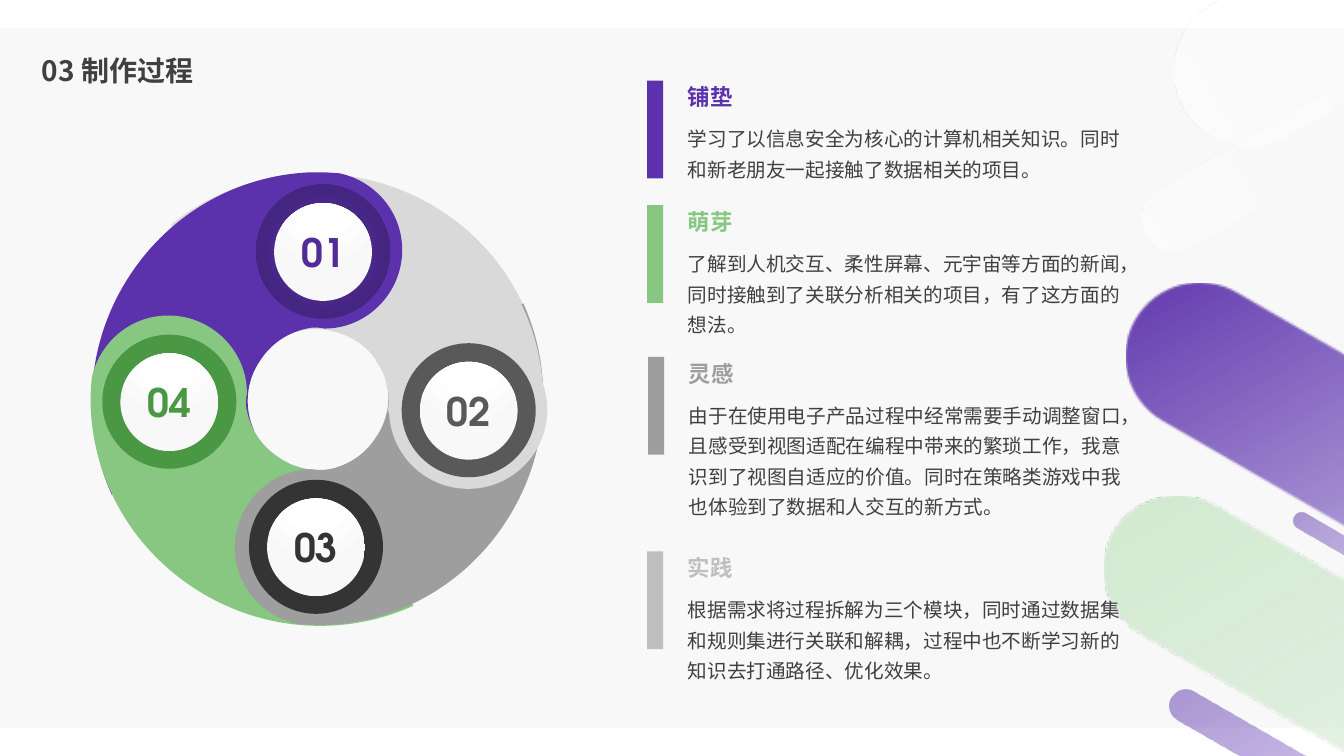
from dataclasses import dataclass

from lxml import etree
from pptx import Presentation
from pptx.dml.color import RGBColor
from pptx.enum.shapes import MSO_SHAPE
from pptx.enum.text import MSO_ANCHOR, PP_ALIGN
from pptx.oxml.ns import qn
from pptx.util import Inches, Pt

RECT, OVAL, ARC = MSO_SHAPE.RECTANGLE, MSO_SHAPE.OVAL, MSO_SHAPE.BLOCK_ARC
LEFT, CENTER = PP_ALIGN.LEFT, PP_ALIGN.CENTER
TOP, MIDDLE = MSO_ANCHOR.TOP, MSO_ANCHOR.MIDDLE

CELL = Inches(0.1)
COLS, ROWS = 133.33, 75
CJK, GEOMETRIC = "Noto Sans CJK SC", "TeX Gyre Adventor"
INK, PANEL, LIGHT = "404040", "F8F8F8", "D9D9D9"
PURPLE, GREEN, GREY = "5B32AB", "87C782", "9E9E9E"
RING, DISC, HALO = 13.3, 9.7, 15.7
ROUNDNESS = 0.55

Box = tuple[float, float, float, float]
Point = tuple[float, float]
Outline = list[list[Point]]


@dataclass
class Gradient:
    stops: list[tuple[int, str, int]]
    angle: int = 0
    focus: tuple[int, int, int, int] | None = None


@dataclass
class Pill:
    box: Box
    rotation: int
    fill: Gradient


@dataclass
class Petal:
    box: Box
    rotation: int
    color: str


@dataclass
class Badge:
    number: str
    col: float
    row: float
    ring: str | Gradient
    color: str


@dataclass
class Step:
    heading: str
    body: str
    col: float
    row: float
    lines: int
    color: str


HAZE = Gradient([(0, "FFFFFF", 50), (21, "FFFFFF", 29), (85, "FFFFFF", 0), (100, "FFFFFF", 0)])
FADE = [(85, "FFFFFF", 50), (100, "FFFFFF", 50)]
VIOLET = Gradient([(0, PURPLE, 100), (23, "5F34B2", 40)] + FADE, 210)
LILAC = Gradient([(0, PURPLE, 50), (23, "5F34B2", 40)] + FADE, 210)
MINT = Gradient([(0, "D0E9CE", 100), (22, "D0E9CE", 50)] + FADE, 210)
PEARL = Gradient([(0, "FFFFFF", 100), (35, "FFFFFF", 100), (100, PANEL, 100)], focus=(50, -80, 50, 180))
PLUM = Gradient([(0, "512C98", 100), (23, "512C98", 100), (69, "442580", 100), (97, "402378", 100)],
                focus=(50, 50, 50, 50))

PILLS = [
    Pill((99, 75.8, 205.5, 14.7), 210, VIOLET),
    Pill((109.6, -26.5, 118.7, 15.1), 330, HAZE),
    Pill((110.2, 6.8, 52.7, 6.7), 330, HAZE),
    Pill((96.8, 97, 205.5, 14.7), 210, MINT),
    Pill((126.8, 56.5, 24.4, 1.7), 210, LILAC),
    Pill((113.1, 79.3, 46.9, 3.3), 210, LILAC),
]
PETALS = [
    Petal((20.5, 15.1, 30.8, 32), 75, LIGHT),
    Petal((9.1, 17.1, 30.8, 32), 0, PURPLE),
    Petal((9.6, 30.7, 30.8, 32), 270, GREEN),
    Petal((23.3, 30.1, 30.6, 31.9), 180, GREY),
]
BADGES = [
    Badge("01", 25.4, 18.3, PLUM, "512C98"),
    Badge("04", 10.15, 33.2, "4A9744", "4A9744"),
    Badge("03", 24.7, 47.6, "343434", "343434"),
    Badge("02", 39.85, 34.05, "595959", "595959"),
]
STEPS = [
    Step("铺垫", "学习了以信息安全为核心的计算机相关知识。同时和新老朋友一起接触了数据相关的项目。",
         64.2, 8, 2, PURPLE),
    Step("萌芽", "了解到人机交互、柔性屏幕、元宇宙等方面的新闻，同时接触到了关联分析相关的项目，有了这方面的想法。",
         64.2, 20.35, 3, GREEN),
    Step("灵感", "由于在使用电子产品过程中经常需要手动调整窗口，且感受到视图适配在编程中带来的繁琐工作，"
         "我意识到了视图自适应的价值。同时在策略类游戏中我也体验到了数据和人交互的新方式。",
         64.3, 35.4, 4, GREY),
    Step("实践", "根据需求将过程拆解为三个模块，同时通过数据集和规则集进行关联和解耦，过程中也不断学习新的知识去打通路径、优化效果。",
         64.2, 54.7, 3, "BFBFBF"),
]
PETAL_SIZE = (30.8, 32)
PETAL_OUTLINE = [
    [(23.1, 0)],
    [(24.6, 0.1)],
    [(28.2, 0.9), (30.8, 4), (30.8, 7.7)],
    [(30.8, 12), (27.3, 15.5), (23.1, 15.5)],
    [(22.4, 15.4)],
    [(21.9, 15.4)],
    [(19.8, 15.7), (17.9, 16.8), (16.7, 18.7)],
    [(15.3, 20.7), (15.1, 23.4), (16.1, 25.6)],
    [(2, 32)],
    [(-1.2, 24.9), (-0.5, 16.7), (3.8, 10.2)],
    [(7.8, 4.1), (14.4, 0.3), (21.7, 0)],
]


def rgb(color: str) -> RGBColor:
    return RGBColor.from_string(color)


def emu(cells: float) -> int:
    return round(cells * CELL)


def place(sp, box: Box, rotation: float = 0) -> None:
    sp.left, sp.top, sp.width, sp.height = map(emu, box)
    sp.rotation = rotation


def paint(sp, fill: str | Gradient) -> None:
    sp.shadow.inherit = False
    sp.line.fill.background()
    if isinstance(fill, str):
        sp.fill.solid()
        sp.fill.fore_color.rgb = rgb(fill)
        return
    sp.fill.background()
    empty = sp.element.spPr.find(qn("a:noFill"))
    grad = etree.Element(qn("a:gradFill"), rotWithShape="1")
    stops = etree.SubElement(grad, qn("a:gsLst"))
    for pos, color, alpha in fill.stops:
        gs = etree.SubElement(stops, qn("a:gs"), pos=str(pos * 1000))
        tint = etree.SubElement(gs, qn("a:srgbClr"), val=color)
        etree.SubElement(tint, qn("a:alpha"), val=str(alpha * 1000))
    if fill.focus:
        radial = etree.SubElement(grad, qn("a:path"), path="circle")
        sides = {k: str(v * 1000) for k, v in zip("ltrb", fill.focus)}
        etree.SubElement(radial, qn("a:fillToRect"), sides)
    else:
        etree.SubElement(grad, qn("a:lin"), ang=str(fill.angle * 60000), scaled="0")
    empty.getparent().replace(empty, grad)


def add_shape(s, kind, box: Box, fill: str | Gradient):
    sp = s.shapes.add_shape(kind, *map(emu, box))
    paint(sp, fill)
    return sp


def add_outline(s, outline: Outline, size: Point, box: Box, rotation: int,
                fill: str | Gradient) -> None:
    ends = [tuple(map(emu, segment[-1])) for segment in outline]
    builder = s.shapes.build_freeform(*ends[0], scale=1.0)
    builder.add_line_segments(ends[1:], close=True)
    sp = builder.convert_to_shape()
    curve = sp.element.find(".//" + qn("a:path"))
    curve.set("w", str(emu(size[0])))
    curve.set("h", str(emu(size[1])))
    for child in list(curve):
        curve.remove(child)
    for i, segment in enumerate(outline):
        tag = "a:moveTo" if i == 0 else "a:lnTo" if len(segment) == 1 else "a:cubicBezTo"
        step = etree.SubElement(curve, qn(tag))
        for x, y in segment:
            etree.SubElement(step, qn("a:pt"), x=str(emu(x)), y=str(emu(y)))
    etree.SubElement(curve, qn("a:close"))
    place(sp, box, rotation)
    paint(sp, fill)


def add_pill(s, pill: Pill) -> None:
    w, h = pill.box[2:]
    r = h / 2
    k = r * (1 - ROUNDNESS)
    outline = [[(r, 0)], [(w, 0)], [(w, h)], [(r, h)],
               [(k, h), (0, h - k), (0, r)], [(0, k), (k, 0), (r, 0)]]
    if pill.rotation == 210:
        outline = [[(w - x, y) for x, y in segment] for segment in outline]
    add_outline(s, outline, (w, h), pill.box, pill.rotation, pill.fill)


def write(sp, text: str, *, size: float, color: str, font: str = CJK, bold: bool = False,
          align=LEFT, anchor=TOP, spacing: float = 1.0, wrap: bool = True) -> None:
    tf = sp.text_frame
    tf.word_wrap, tf.vertical_anchor = wrap, anchor
    p = tf.paragraphs[0]
    p.alignment, p.line_spacing = align, spacing
    r = p.add_run()
    r.text = text
    r.font.size, r.font.bold, r.font.name = Pt(size), bold, font
    r.font.color.rgb = rgb(color)
    etree.SubElement(r.font._element, qn("a:ea"), typeface=CJK)


def add_badge(s, badge: Badge) -> None:
    add_shape(s, OVAL, (badge.col, badge.row, RING, RING), badge.ring)
    inset = (RING - DISC) / 2
    disc = add_shape(s, OVAL, (badge.col + inset, badge.row + inset + 0.05, DISC, DISC), PEARL)
    write(disc, badge.number, size=28, color=badge.color, font=GEOMETRIC, bold=True,
          align=CENTER, anchor=MIDDLE, wrap=False)


def add_step(s, step: Step) -> None:
    col = step.col + 3.05
    body = s.shapes.add_textbox(*map(emu, (col, step.row + 3.45, 45.9, step.lines * 3.1 + 0.6)))
    write(body, step.body, size=14, color=INK, spacing=1.3)
    heading = s.shapes.add_textbox(*map(emu, (col, step.row - 1, 6.5, 4.2)))
    write(heading, step.heading, size=16, color=step.color, font=GEOMETRIC, bold=True,
          spacing=1.3, wrap=False)
    add_shape(s, RECT, (step.col, step.row, 1.6, 9.7), step.color)


def main() -> None:
    prs = Presentation()
    prs.slide_width, prs.slide_height = emu(COLS), emu(ROWS)
    s = prs.slides.add_slide(prs.slide_layouts[5])
    add_shape(s, RECT, (0, 2.8, COLS, 69.4), PANEL)
    for pill in PILLS:
        add_pill(s, pill)
    title = s.shapes.title
    title.element.getparent().append(title.element)
    place(title, (3.15, 4.3, 49.9, 5.8))
    write(title, "03 制作过程", size=20, color=INK, bold=True, anchor=MIDDLE, spacing=0.9)
    for petal in PETALS:
        add_outline(s, PETAL_OUTLINE, PETAL_SIZE, petal.box, petal.rotation, petal.color)
    for badge in BADGES[:-1]:
        add_badge(s, badge)
    for step in STEPS:
        add_step(s, step)
    arc = add_shape(s, ARC, (10.1, 17.8, 43.8, 43.8), LIGHT)
    for i, value in enumerate((194.03, 6.13, 0.35)):
        arc.adjustments[i] = value
    add_shape(s, OVAL, (38.6, 32.8, HALO, HALO), LIGHT)
    add_badge(s, BADGES[-1])
    prs.save("out.pptx")


if __name__ == "__main__":
    main()
